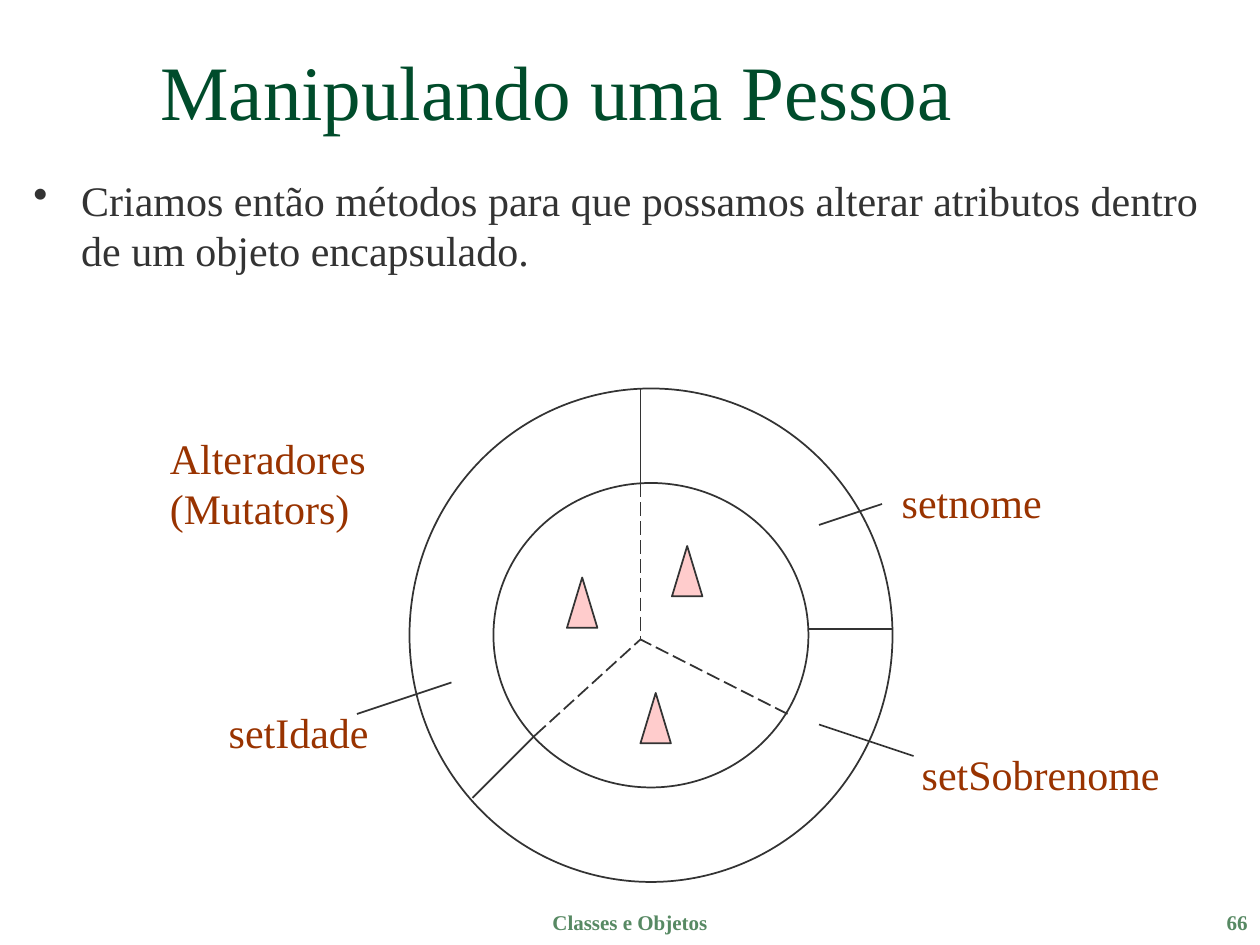
from lxml import etree
from pptx import Presentation
from pptx.dml.color import RGBColor
from pptx.enum.dml import MSO_LINE
from pptx.enum.shapes import MSO_CONNECTOR, MSO_SHAPE
from pptx.enum.text import MSO_ANCHOR, MSO_AUTO_SIZE, PP_ALIGN
from pptx.oxml.ns import qn
from pptx.util import Inches, Pt

LEFT, CENTER, RIGHT = PP_ALIGN.LEFT, PP_ALIGN.CENTER, PP_ALIGN.RIGHT
TOP, MIDDLE = MSO_ANCHOR.TOP, MSO_ANCHOR.MIDDLE
FIT_SHAPE, NO_FIT = MSO_AUTO_SIZE.SHAPE_TO_FIT_TEXT, MSO_AUTO_SIZE.NONE
ELLIPSE, TRIANGLE = MSO_SHAPE.OVAL, MSO_SHAPE.ISOSCELES_TRIANGLE
STRAIGHT, LONG_DASH = MSO_CONNECTOR.STRAIGHT, MSO_LINE.LONG_DASH

FONT = "Times New Roman"
GREEN, FOOTER_GREEN = "004C2B", "578963"
INK, RUST, PINK = "333333", "993300", "FFCCCC"
COLUMNS, ROWS = 120, 90
CELL = Inches(10) / COLUMNS  # square cells, twelve to the inch


def cells(*counts):
    return [round(count * CELL) for count in counts]


def color(hex_string):
    return RGBColor.from_string(hex_string)


def add_text(slide, box, lines, size, ink, align=LEFT, anchor=TOP,
             bold=False, wrap=True):
    frame = slide.shapes.add_textbox(*cells(*box)).text_frame
    frame.word_wrap = wrap
    frame.auto_size = NO_FIT if wrap else FIT_SHAPE
    frame.vertical_anchor = anchor
    for index, line in enumerate(lines):
        paragraph = frame.add_paragraph() if index else frame.paragraphs[0]
        paragraph.alignment = align
        run = paragraph.add_run()
        run.text = line
        run.font.name, run.font.size, run.font.bold = FONT, Pt(size), bold
        run.font.color.rgb = color(ink)
    return frame


def add_outline(slide, kind, box, fill=None):
    shape = slide.shapes.add_shape(kind, *cells(*box))
    shape.shadow.inherit = False
    if fill:
        shape.fill.solid()
        shape.fill.fore_color.rgb = color(fill)
    else:
        shape.fill.background()
    shape.line.color.rgb = color(INK)
    shape.line.width = Pt(1)


def add_line(slide, start, end, dash=None):
    line = slide.shapes.add_connector(STRAIGHT, *cells(*start, *end))
    line.line.color.rgb = color(INK)
    line.line.width = Pt(1)
    if dash:
        line.line.dash_style = dash
    etree.SubElement(line._element.spPr, qn("a:effectLst"))


def add_bullet_text(slide, box, text):
    paragraph = add_text(slide, box, [text], 24, INK).paragraphs[0]
    properties = paragraph._p.get_or_add_pPr()
    indent = Inches(0.38)
    properties.set("marL", str(indent))
    properties.set("indent", str(-indent))
    bullet_color = etree.SubElement(properties, qn("a:buClr"))
    etree.SubElement(bullet_color, qn("a:srgbClr")).set("val", INK)
    etree.SubElement(properties, qn("a:buChar")).set("char", "•")


def add_encapsulation_diagram(slide, left, top):
    """Draw attributes in an inner disc, ringed by their mutator methods."""
    def at(x, y):
        return left + x, top + y

    add_outline(slide, ELLIPSE, (*at(32, 9), 30, 29))
    for x, y in [(39, 18), (49, 15), (46, 29)]:
        add_outline(slide, TRIANGLE, (*at(x, y), 2.9, 4.8), PINK)
    add_outline(slide, ELLIPSE, (*at(24, 0), 46, 47))

    hub = at(46, 23.9)
    ring_dividers = [((46, 0), (46, 9)), ((30, 39), (36, 33)),
                     ((62, 22.9), (70, 22.9))]
    callouts = [((63, 13), (69, 11)), ((19, 31), (28, 28)),
                ((63, 32), (72, 35))]
    for start, end in ring_dividers + callouts:
        add_line(slide, at(*start), at(*end))
    for x, y in [(46, 9), (36, 33), (60, 31)]:
        add_line(slide, at(x, y), hub, LONG_DASH)

    labels = [
        (0, 3.6, 21.1, 10.8, ["Alteradores", "(Mutators)"]),
        (69.7, 7.8, 15.7, 6, ["setnome"]),
        (71.6, 33.7, 25.1, 6, ["setSobrenome"]),
        (5.6, 29.7, 15.7, 6, ["setIdade"]),
    ]
    for x, y, width, height, lines in labels:
        add_text(slide, (*at(x, y), width, height), lines, 24, RUST,
                 wrap=False)


def add_footer(slide, top, height):
    add_text(slide, (41, top, 38, height), ["Classes e Objetos"], 12,
             FOOTER_GREEN, CENTER, bold=True)
    add_text(slide, (95, top, 25, height), ["66"], 12,
             FOOTER_GREEN, RIGHT, bold=True)


def main():
    deck = Presentation()
    deck.slide_width, deck.slide_height = cells(COLUMNS, ROWS)
    slide = deck.slides.add_slide(deck.slide_layouts[6])
    add_text(slide, (2, 1, 102, 15), ["Manipulando uma Pessoa"], 44, GREEN,
             CENTER, MIDDLE)
    add_bullet_text(slide, (2, 16, 115, 27),
                    "Criamos então métodos para que possamos alterar "
                    "atributos dentro de um objeto encapsulado.")
    add_encapsulation_diagram(slide, 15, 37)
    add_footer(slide, 86, 6)
    deck.save("out.pptx")


if __name__ == "__main__":
    main()
